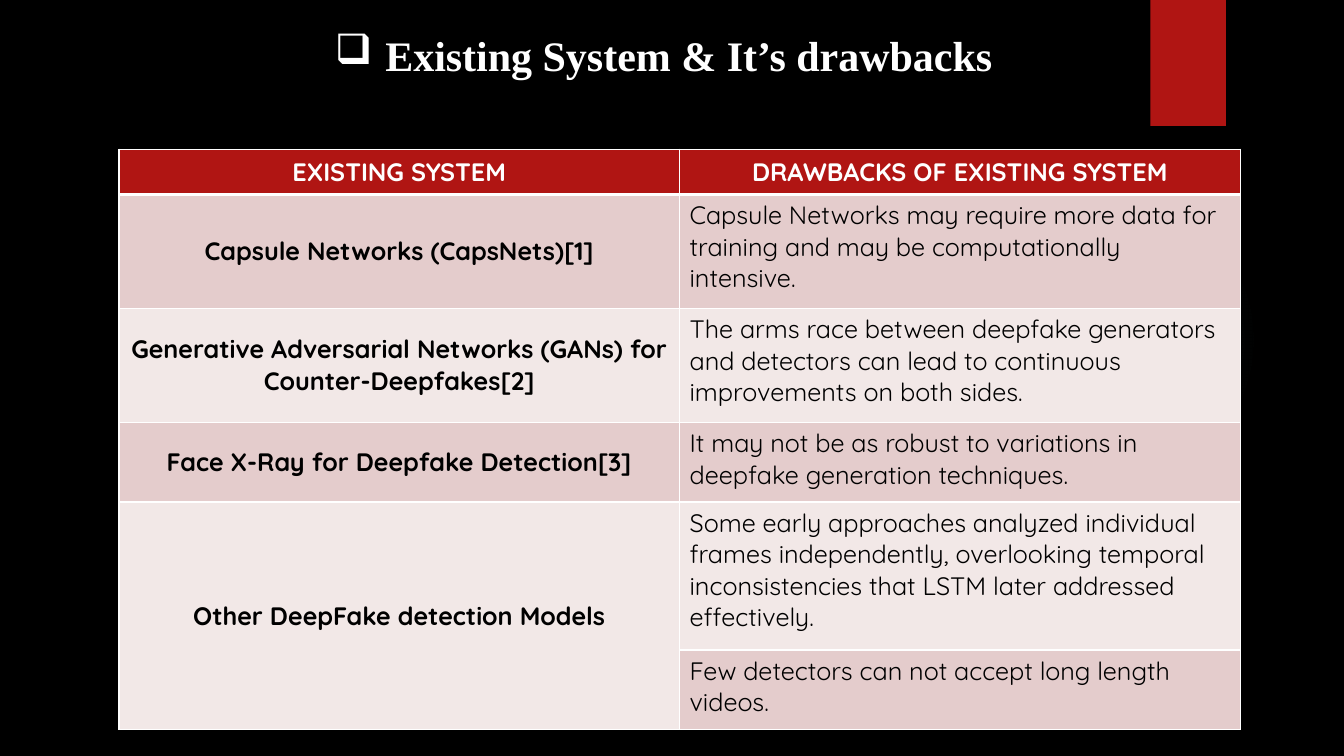
from pptx import Presentation, util as u
from pptx.dml.color import RGBColor
from pptx.enum import shapes, text
from pptx.oxml import parse_xml
from pptx.oxml.ns import nsdecls

RED, ROSE, PALE = "B01513", "E4CCCC", "F2E8E7"
WHITE, BLACK, TEAL = "FFFFFF", "000000", "50B9C1"


def color(code):
    return RGBColor.from_string(code)


def element(tag, attrs="", inner=""):
    return parse_xml(f"<a:{tag} {nsdecls('a')} {attrs}>{inner}</a:{tag}>")


class Deck:
    face, size = "Quicksand", 18

    def __init__(self, width, height):
        self.prs = Presentation()
        self.prs.slide_width = u.Inches(width)
        self.prs.slide_height = u.Inches(height)
        self.slide = self.prs.slides.add_slide(self.prs.slide_layouts[6])
        fill = self.slide.background.fill
        fill.solid()
        fill.fore_color.rgb = color(BLACK)

    def style(self, para, tint, bold=False, center=True, face=None, size=None):
        para.alignment = text.PP_ALIGN.CENTER if center else text.PP_ALIGN.LEFT
        font = para.font
        font.name, font.size = face or self.face, u.Pt(size or self.size)
        font.bold, font.color.rgb = bold, color(tint)

    def shape(self, kind, box, tint):
        item = self.slide.shapes.add_shape(kind, *map(u.Inches, box))
        item.shadow.inherit = False
        item.line.fill.background()
        item.fill.solid()
        item.fill.fore_color.rgb = color(tint)
        return item

    def glow(self, box, tint, stops):
        item = self.shape(shapes.MSO_SHAPE.OVAL, box, tint)
        marks = "".join(
            f'<a:gs pos="{pos * 1000}"><a:srgbClr val="{tint}">'
            f'<a:alpha val="{alpha * 1000}"/></a:srgbClr></a:gs>'
            for pos, alpha in stops)
        center = '<a:fillToRect l="50000" t="50000" r="50000" b="50000"/>'
        fade = element("gradFill", "", f"<a:gsLst>{marks}</a:gsLst>"
                       f'<a:path path="circle">{center}</a:path>')
        props = item.fill._xPr
        props.replace(props.find("{*}solidFill"), fade)

    def title(self, box, words):
        frame = self.slide.shapes.add_textbox(*map(u.Inches, box)).text_frame
        frame.word_wrap = True
        para = frame.paragraphs[0]
        para.text = words
        props = para._p.get_or_add_pPr()
        props.set("marL", str(u.Inches(0.5)))
        props.set("indent", str(u.Inches(-0.5)))
        props.append(element("buChar", 'char="❑"'))
        self.style(para, WHITE, True, face="Times New Roman", size=30)

    def border(self, cell, top, bottom):
        props = cell._tc.get_or_add_tcPr()
        for side, width in zip("LRTB", (1, 1, top, bottom)):
            props.append(element(
                f"ln{side}", f'w="{u.Pt(width)}"',
                f'<a:solidFill><a:srgbClr val="{WHITE}"/></a:solidFill>'))

    def table(self, box, rows, heights):
        grid = self.slide.shapes.add_table(
            len(rows), len(rows[0]), *map(u.Inches, box)).table
        for r, row in enumerate(rows):
            grid.rows[r].height = u.Inches(heights[r])
            head = r == 0
            for c, words in enumerate(row):
                cell = grid.cell(r, c)
                self.border(cell, 3 if r == 1 else 1, 3 if head else 1)
                cell.fill.solid()
                cell.fill.fore_color.rgb = color(
                    RED if head else ROSE if r % 2 else PALE)
                cell.text = words
                name = head or c == 0
                if name:
                    cell.vertical_anchor = text.MSO_ANCHOR.MIDDLE
                self.style(cell.text_frame.paragraphs[0],
                           WHITE if head else BLACK, name, name)
        return grid


def main():
    deck = Deck(13.33, 7.5)

    # Backdrop
    deck.glow((9.41, 1.83, 3.08, 3.08), TEAL, [(0, 7), (36, 6), (69, 0)])
    deck.shape(shapes.MSO_SHAPE.RECTANGLE, (11.41, 0, 0.75, 1.25), RED)

    # Title
    deck.title((0.21, 0.24, 12.75, 0.61), "Existing System & It’s drawbacks")

    # Systems and their drawbacks
    rows = [
        ("EXISTING SYSTEM", "DRAWBACKS OF EXISTING SYSTEM"),
        ("Capsule Networks (CapsNets)[1]",
         "Capsule Networks may require more data for training and may be "
         "computationally intensive."),
        ("Generative Adversarial Networks (GANs) for Counter-Deepfakes[2]",
         "The arms race between deepfake generators and detectors can lead "
         "to continuous improvements on both sides."),
        ("Face X-Ray for Deepfake Detection[3]",
         "It may not be as robust to variations in deepfake generation "
         "techniques."),
        ("Other DeepFake detection Models",
         "Some early approaches analyzed individual frames independently, "
         "overlooking temporal inconsistencies that LSTM later addressed "
         "effectively."),
        ("", "Few detectors can not accept long length videos."),
    ]
    grid = deck.table((1.18, 1.48, 11.12, 5.77), rows,
                      (0.45, 1.13, 1.13, 0.79, 1.47, 0.79))
    grid.cell(4, 0).merge(grid.cell(5, 0))

    deck.prs.save("out.pptx")


if __name__ == "__main__":
    main()
